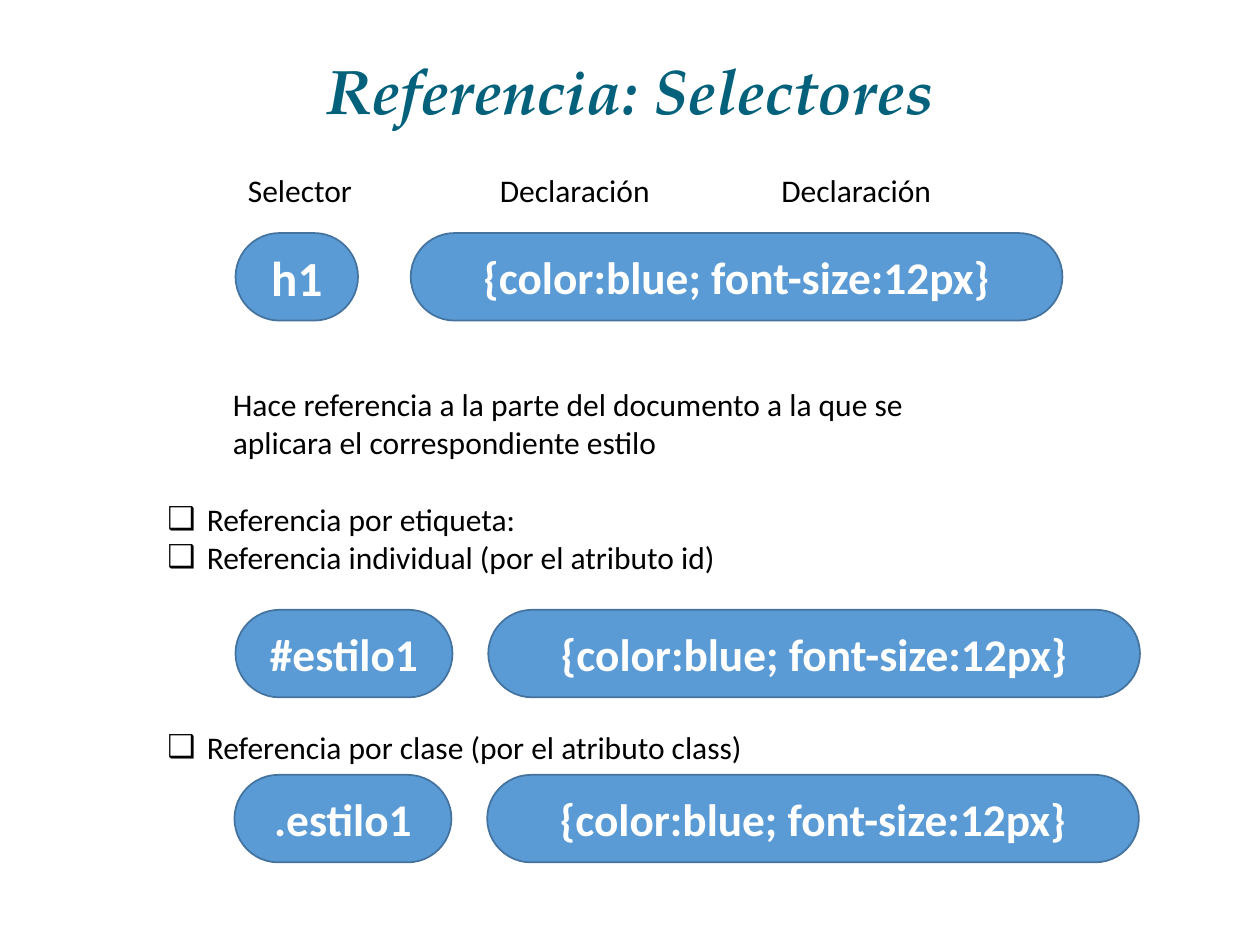
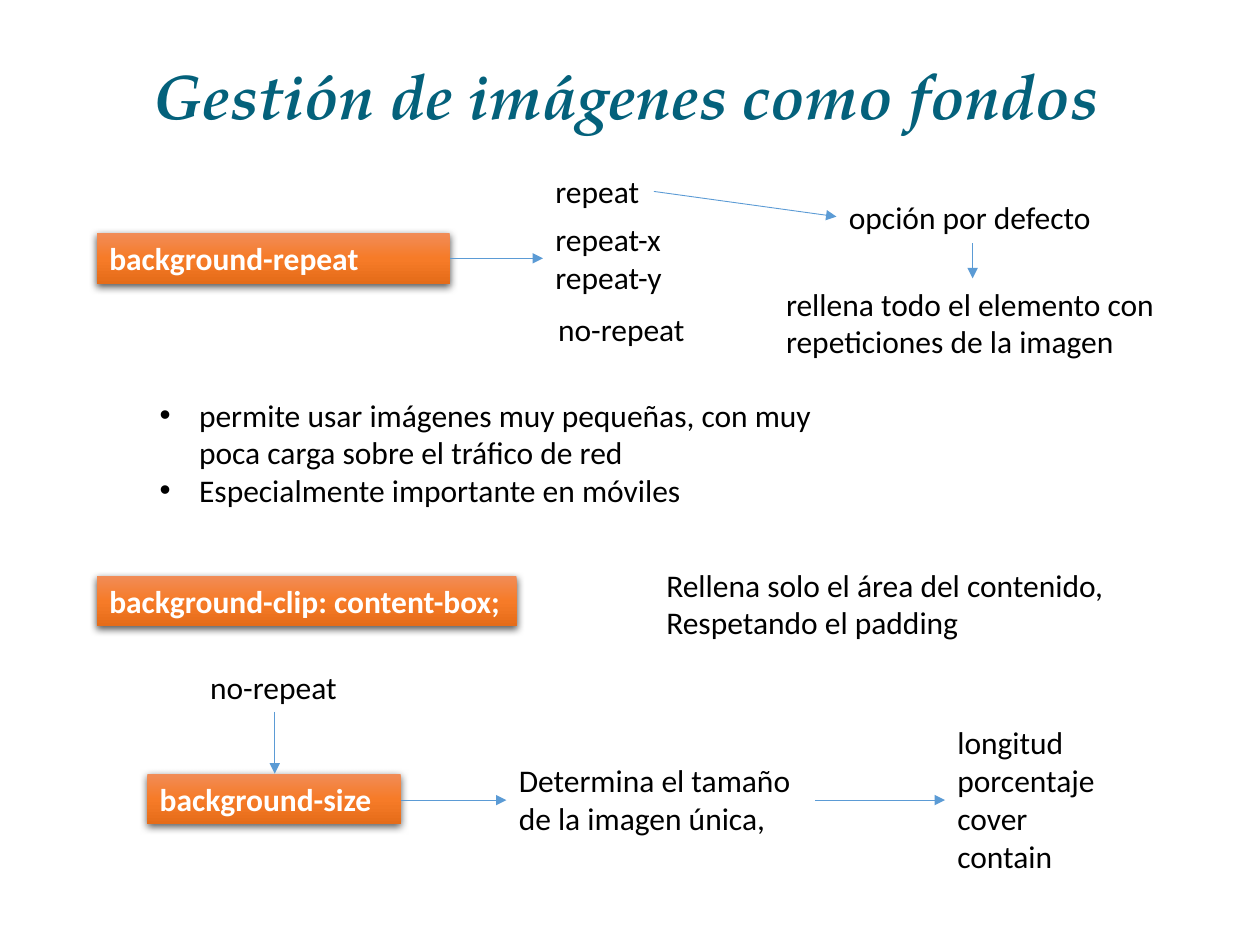
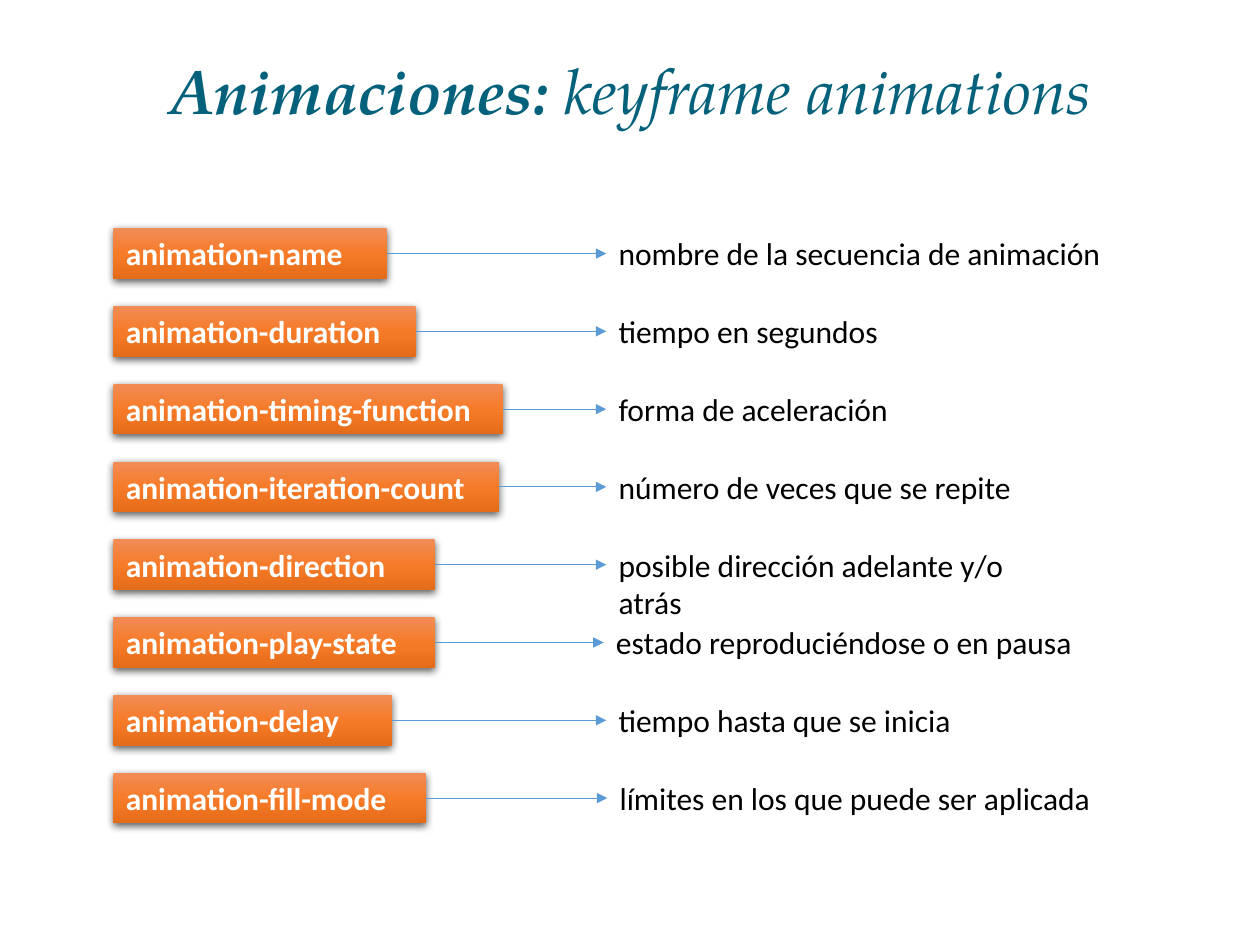
"""Build three slides on CSS selectors, background images and keyframe animations."""
from dataclasses import dataclass

from lxml import etree
from pptx import Presentation
from pptx.dml.color import RGBColor
from pptx.enum.shapes import MSO_CONNECTOR, MSO_SHAPE
from pptx.enum.text import MSO_ANCHOR, MSO_AUTO_SIZE, PP_ALIGN
from pptx.oxml import parse_xml
from pptx.oxml.ns import nsdecls, qn
from pptx.slide import Slide
from pptx.util import Pt

STRAIGHT = MSO_CONNECTOR.STRAIGHT
ROUNDED, RECTANGLE = MSO_SHAPE.ROUNDED_RECTANGLE, MSO_SHAPE.RECTANGLE
CENTER, LEFT = PP_ALIGN.CENTER, PP_ALIGN.LEFT
MIDDLE, TOP = MSO_ANCHOR.MIDDLE, MSO_ANCHOR.TOP
GROW = MSO_AUTO_SIZE.SHAPE_TO_FIT_TEXT

COLORS = {
    "title": "04617B", "text": "000000", "white": "FFFFFF",
    "pill": "5B9BD5", "pill_edge": "43739E", "arrow": "5B9BD5",
    "tag_top": "F18C57", "tag_middle": "F67B28", "tag_bottom": "E56C19",
}
BODY_FONT, TITLE_FONT = "Calibri", "TeX Gyre Pagella"
BODY_SIZE, CODE_SIZE = 18, 25.9
LINE_HEIGHT, TAG_HEIGHT, PILL_HEIGHT = 22, 29, 50
BULLET_INDENT = 22.5
RULE = "{color:blue; font-size:12px}"

TAG_FILL = f"""<a:gradFill {nsdecls('a')} rotWithShape="1"><a:gsLst>
<a:gs pos="0"><a:srgbClr val="{COLORS['tag_top']}"/></a:gs>
<a:gs pos="50000"><a:srgbClr val="{COLORS['tag_middle']}"/></a:gs>
<a:gs pos="100000"><a:srgbClr val="{COLORS['tag_bottom']}"/></a:gs>
</a:gsLst><a:lin ang="5400000" scaled="0"/></a:gradFill>"""
TAG_SHADOW = f"""<a:effectLst {nsdecls('a')}>
<a:outerShdw blurRad="{Pt(4.5)}" dist="{Pt(1.5)}" dir="5400000" algn="ctr" rotWithShape="0">
<a:srgbClr val="000000"><a:alpha val="63000"/></a:srgbClr></a:outerShdw></a:effectLst>"""


@dataclass(frozen=True)
class Note:
    """Plain text, one string for each paragraph."""
    left: float
    top: float
    width: float
    paragraphs: tuple[str, ...]
    wrap: bool = False
    bullet: str = ""
    gap_before_last: float = 0


@dataclass(frozen=True)
class Pill:
    """Rounded box holding a piece of CSS."""
    left: float
    top: float
    width: float
    code: str
    size: float = CODE_SIZE


@dataclass(frozen=True)
class Tag:
    """Orange box holding a property name."""
    left: float
    top: float
    width: float
    code: str


@dataclass(frozen=True)
class Arrow:
    """Thin arrow between two points."""
    x1: float
    y1: float
    x2: float
    y2: float


@dataclass(frozen=True)
class Property:
    """Animation property with its meaning."""
    code: str
    tag_width: float
    meaning: str
    meaning_width: float
    meaning_left: float = 346.4
    wrap: bool = False


def rgb(name: str) -> RGBColor:
    """Return the named colour."""
    return RGBColor.from_string(COLORS[name])


def add_run(paragraph, text: str, size: float, color: str, bold: bool = False,
            italic: bool = False, font_name: str = BODY_FONT) -> None:
    """Append one formatted run."""
    run = paragraph.add_run()
    run.text = text
    run.font.name, run.font.size = font_name, Pt(size)
    run.font.bold, run.font.italic = bold, italic
    run.font.color.rgb = rgb(color)


def add_bullet(paragraph, mark: str) -> None:
    """Give a paragraph a hanging bullet."""
    properties = paragraph._p.get_or_add_pPr()
    properties.set("marL", str(Pt(BULLET_INDENT)))
    properties.set("indent", str(-Pt(BULLET_INDENT)))
    etree.SubElement(properties, qn("a:buFont")).set("typeface", "Arial")
    etree.SubElement(properties, qn("a:buChar")).set("char", mark)


def draw_title(slide: Slide, runs: tuple[tuple[str, bool], ...], left: float = 49.7,
               top: float = 28.8, height: float = 50.4, spacing: float = 0.9) -> None:
    """Draw the slide title from (text, bold) runs."""
    box = slide.shapes.add_textbox(Pt(left), Pt(top), Pt(620.6), Pt(height))
    frame = box.text_frame
    frame.word_wrap, frame.vertical_anchor = True, MIDDLE
    heading = frame.paragraphs[0]
    heading.alignment, heading.line_spacing = CENTER, spacing
    for text, bold in runs:
        add_run(heading, text, 36, "title", bold, True, TITLE_FONT)


def draw_note(slide: Slide, note: Note, height: float = 0) -> None:
    """Draw plain or bulleted text."""
    height = height or 7 + LINE_HEIGHT * len(note.paragraphs) + note.gap_before_last
    box = slide.shapes.add_textbox(Pt(note.left), Pt(note.top), Pt(note.width), Pt(height))
    frame = box.text_frame
    frame.word_wrap, frame.auto_size = note.wrap, GROW
    for index, text in enumerate(note.paragraphs):
        paragraph = frame.add_paragraph() if index else frame.paragraphs[0]
        if note.bullet:
            add_bullet(paragraph, note.bullet)
        add_run(paragraph, text, BODY_SIZE, "text")
    if note.gap_before_last:
        paragraph.space_before = Pt(note.gap_before_last)


def draw_pill(slide: Slide, pill: Pill) -> None:
    """Draw a blue rounded box."""
    shape = slide.shapes.add_shape(ROUNDED, Pt(pill.left), Pt(pill.top),
                                   Pt(pill.width), Pt(PILL_HEIGHT))
    shape.adjustments[0] = 0.5
    shape.shadow.inherit = False
    shape.fill.solid()
    shape.fill.fore_color.rgb = rgb("pill")
    shape.line.color.rgb, shape.line.width = rgb("pill_edge"), Pt(1)
    frame = shape.text_frame
    frame.word_wrap, frame.vertical_anchor = True, MIDDLE
    frame.paragraphs[0].alignment = CENTER
    add_run(frame.paragraphs[0], pill.code, pill.size, "white", True)


def draw_tag(slide: Slide, tag: Tag) -> None:
    """Draw an orange gradient box with a soft shadow."""
    shape = slide.shapes.add_shape(RECTANGLE, Pt(tag.left), Pt(tag.top),
                                   Pt(tag.width), Pt(TAG_HEIGHT))
    properties = shape._element.spPr
    properties.append(parse_xml(TAG_FILL))
    shape.line.fill.background()
    properties.append(parse_xml(TAG_SHADOW))
    frame = shape.text_frame
    frame.word_wrap, frame.vertical_anchor, frame.auto_size = True, TOP, GROW
    frame.paragraphs[0].alignment = LEFT
    add_run(frame.paragraphs[0], tag.code, BODY_SIZE, "white", True)


def draw_arrow(slide: Slide, arrow: Arrow) -> None:
    """Draw a line with a triangle at its end."""
    line = slide.shapes.add_connector(STRAIGHT, Pt(arrow.x1), Pt(arrow.y1),
                                      Pt(arrow.x2), Pt(arrow.y2))
    line.line.color.rgb, line.line.width = rgb("arrow"), Pt(0.5)
    etree.SubElement(line.line._get_or_add_ln(), qn("a:tailEnd")).set("type", "triangle")
    etree.SubElement(line._element.spPr, qn("a:effectLst"))


SELECTOR_PILLS = (
    Pill(134.6, 133.2, 70, "h1", 28), Pill(234.7, 133.2, 372.4, RULE),
    Pill(134.6, 348.5, 124, "#estilo1"), Pill(279, 348.5, 372.4, RULE),
    Pill(134, 442.8, 124, ".estilo1"), Pill(278.4, 442.8, 372.4, RULE),
)
SELECTOR_NOTES = (
    Note(134.6, 94.3, 74.2, ("Selector",)),
    Note(278.6, 94.3, 100, ("Declaración",)),
    Note(439.4, 94.3, 100, ("Declaración",)),
    Note(88.6, 282.2, 347, (
        "Referencia por etiqueta:",
        "Referencia individual (por el atributo id)",
        "Referencia por clase (por el atributo class)",
    ), bullet="❑", gap_before_last=87),
)
SELECTOR_MEANING = Note(126, 216.7, 414, (
    "Hace referencia a la parte del documento a la que se aplicara el correspondiente estilo",
), wrap=True)

BACKGROUND_TAGS = (
    Tag(55.4, 133.2, 201.6, "background-repeat"),
    Tag(55.4, 329, 239.8, "background-clip: content-box;"),
    Tag(84.2, 442.1, 144.7, "background-size"),
)
BACKGROUND_NOTES = (
    Note(310.3, 95, 62.6, ("repeat",)),
    Note(310.3, 122.4, 77, ("repeat-x", "repeat-y")),
    Note(311.8, 173.5, 87.8, ("no-repeat",)),
    Note(478, 109.4, 155.5, ("opción por defecto",), wrap=True),
    Note(373.7, 319.7, 271.4, ("Rellena solo el área del contenido,",
                               "Respetando el padding")),
    Note(113, 378, 87.8, ("no-repeat",)),
    Note(540, 409.7, 93.6, ("longitud", "porcentaje", "cover", "contain")),
)
BACKGROUND_WRAPPED = (
    (Note(442.1, 159.1, 226, ("rellena todo el elemento con repeticiones de la imagen",),
          wrap=True), 51),
    (Note(84.2, 222.5, 398.2, (
        "permite usar imágenes muy pequeñas, con muy poca carga sobre el tráfico de red",
        "Especialmente importante en móviles",
    ), wrap=True, bullet="•"), 73),
    (Note(289.4, 431.3, 177, ("Determina el tamaño de la imagen única,",), wrap=True), 51),
)
BACKGROUND_ARROWS = (
    Arrow(257, 147.6, 310.3, 147.6), Arrow(373.7, 109.4, 478, 123.8),
    Arrow(555.8, 139, 555.8, 159.1), Arrow(157, 406.8, 157, 442.1),
    Arrow(229, 457.2, 289.4, 457.2), Arrow(465.8, 457.2, 540, 457.2),
)

PROPERTIES = (
    Property("animation-name", 156.2, "nombre de la secuencia de animación", 290.2),
    Property("animation-duration", 172.8, "tiempo en segundos", 163.4),
    Property("animation-timing-function", 222.5, "forma de aceleración", 168.5),
    Property("animation-iteration-count", 220.3, "número de veces que se repite", 239),
    Property("animation-direction", 183.6, "posible dirección adelante y/o atrás", 270,
             wrap=True),
    Property("animation-play-state", 183.6, "estado reproduciéndose o en pausa", 275, 344.9),
    Property("animation-delay", 159.1, "tiempo hasta que se inicia", 204.5),
    Property("animation-fill-mode", 178.6, "límites en los que puede ser aplicada", 283.7, 347),
)
PROPERTY_LEFT, PROPERTY_TOP, PROPERTY_STEP = 64.8, 130.4, 44.45


def build_selectors(slide: Slide) -> None:
    """Build the slide on selectors."""
    draw_title(slide, (("Referencia: Selectores", True),))
    for note in SELECTOR_NOTES:
        draw_note(slide, note)
    draw_note(slide, SELECTOR_MEANING, 51)
    for pill in SELECTOR_PILLS:
        draw_pill(slide, pill)


def build_backgrounds(slide: Slide) -> None:
    """Build the slide on background images."""
    draw_title(slide, (("Gestión de imágenes como fondos", True),), 47.5, 21.6, 64.8, 1.0)
    for tag in BACKGROUND_TAGS:
        draw_tag(slide, tag)
    for note in BACKGROUND_NOTES:
        draw_note(slide, note)
    for note, height in BACKGROUND_WRAPPED:
        draw_note(slide, note, height)
    for arrow in BACKGROUND_ARROWS:
        draw_arrow(slide, arrow)


def build_animations(slide: Slide) -> None:
    """Build the slide on keyframe animations."""
    draw_title(slide, (("Animaciones: ", True), ("keyframe animations", False)))
    for index, row in enumerate(PROPERTIES):
        top = PROPERTY_TOP + index * PROPERTY_STEP
        middle = top + TAG_HEIGHT / 2
        draw_tag(slide, Tag(PROPERTY_LEFT, top, row.tag_width, row.code))
        draw_note(slide, Note(row.meaning_left, top, row.meaning_width, (row.meaning,), row.wrap))
        draw_arrow(slide, Arrow(PROPERTY_LEFT + row.tag_width, middle, row.meaning_left, middle))


def main() -> None:
    """Build and save the presentation."""
    deck = Presentation()
    deck.slide_width, deck.slide_height = Pt(720), Pt(540)
    for build in (build_selectors, build_backgrounds, build_animations):
        build(deck.slides.add_slide(deck.slide_layouts[6]))
    deck.save("out.pptx")


if __name__ == "__main__":
    main()
